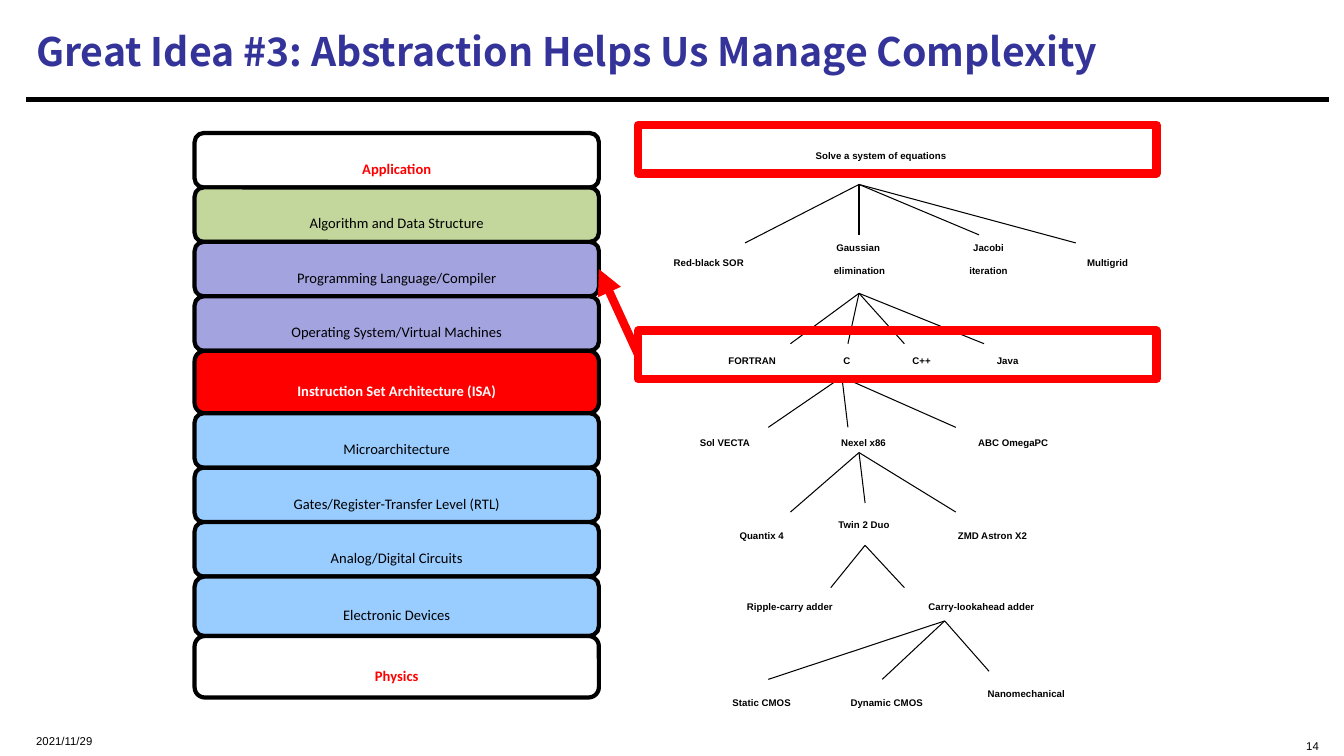
from lxml.etree import SubElement
from pptx import Presentation
from pptx.dml.color import RGBColor as RGB
from pptx.enum.shapes import MSO_CONNECTOR as Conn, MSO_SHAPE as Shape
from pptx.enum.text import MSO_ANCHOR as Anchor, MSO_AUTO_SIZE as Auto, PP_ALIGN as Align
from pptx.oxml.ns import qn
from pptx.util import Inches, Pt

C = {"black": "000000", "white": "FFFFFF", "red": "FF0000", "title": "333399",
     "green": "C3D69B", "purple": "A3A3E0", "blue": "99CCFF"}

# All positions are in cells of a grid with ten columns and rows to the inch.
COLS, ROWS = 133.3, 75
LAYER_LEFT, LAYER_TOP, LAYER_WIDTH = 19.3, 13.2, 40.1
LABEL_ROW = 3

LAYERS = [  # label, fill, text colour, bold, height
    ("Application", "white", "red", True, 5.4),
    ("Algorithm and Data Structure", "green", "black", False, 5.4),
    ("Programming Language/Compiler", "purple", "black", False, 5.4),
    ("Operating System/Virtual Machines", "purple", "black", False, 5.4),
    ("Instruction Set Architecture (ISA)", "red", "white", True, 6.2),
    ("Microarchitecture", "blue", "black", False, 5.4),
    ("Gates/Register-Transfer Level (RTL)", "blue", "black", False, 5.4),
    ("Analog/Digital Circuits", "blue", "black", False, 5.4),
    ("Electronic Devices", "blue", "black", False, 5.9),
    ("Physics", "white", "red", True, 6.1),
]

LABELS = [  # text, centre column, top row, width
    ("Solve a system of equations", 87.4, 13.3, 24.6),
    ("Gaussian \nelimination", 85.25, 22.4, 10.9),
    ("Jacobi\niteration", 98.05, 22.4, 8.7),
    ("Red-black SOR", 70.3, 23.9, 14.2),
    ("Multigrid", 109.85, 23.9, 9.1),
    ("FORTRAN", 74.6, 33.6, 10.2),
    ("C", 84, 33.6, 3.2),
    ("C++", 91.4, 33.6, 5.2),
    ("Java", 99.95, 33.6, 5.7),
    ("Nexel x86", 85.65, 41.7, 8.7),
    ("Sol VECTA", 71.9, 41.7, 11.4),
    ("ABC OmegaPC", 100.5, 41.7, 13),
    ("Quantix 4", 75.55, 50.9, 10.1),
    ("Twin 2 Duo", 85.7, 49.9, 11),
    ("ZMD Astron X2", 98.45, 50.9, 14.1),
    ("Ripple-carry adder", 78.35, 58, 16.9),
    ("Carry-lookahead adder", 97.35, 58, 20.3),
    ("Static CMOS", 75.55, 67.5, 12.1),
    ("Dynamic CMOS", 87.95, 67.5, 14.5),
    ("Nanomechanical", 101.8, 66.6, 15.4),
]

BRANCHES = [  # fork, ends
    ((85.2, 18.3), [(73.9, 24.1), (85.2, 23.3), (97.1, 23.3), (106.7, 24.1)]),
    ((85.2, 29.1), [(78.4, 34.1), (84.1, 34.1), (89.7, 34.1), (97.6, 34.1)]),
    ((83.5, 37.4), [(76.2, 42.4), (84.1, 42.4), (94.8, 42.4)]),
    ((85.2, 44.9), [(78.4, 50.8), (85.8, 49.9), (94.8, 50.8)]),
    ((85.8, 54.1), [(82.4, 58.3), (89.7, 58.3)]),
    ((93.7, 61.6), [(76.2, 67.4), (87.5, 67.4), (98.1, 66.6)]),
]


def cells(*counts):
    return [Inches(n / 10) for n in counts]


def write(sp, text, size=12, font="Arial", color="black", bold=False, align=Align.CENTER,
          anchor=Anchor.TOP, wrap=False, auto=Auto.NONE, baseline=-25000):
    """Fill sp with one paragraph a line; baseline is a shift in 1/1000 percent."""
    tf = sp.text_frame
    tf.word_wrap, tf.auto_size, tf.vertical_anchor = wrap, auto, anchor
    for i, line in enumerate(text.split("\n")):
        p = tf.add_paragraph() if i else tf.paragraphs[0]
        p.alignment = align
        r = p.add_run()
        r.text = line
        r.font.size, r.font.name, r.font.bold = Pt(size), font, bold
        r.font.color.rgb = RGB.from_string(C[color])
        rPr = r._r.get_or_add_rPr()
        if baseline:
            rPr.set("baseline", str(baseline))
        SubElement(rPr, qn("a:ea")).set("typeface", font)


def add_text(s, text, left, top, width, height, **fmt):
    write(s.shapes.add_textbox(*cells(left, top, width, height)), text, **fmt)


def add_box(s, kind, left, top, width, height, line, weight, fill=None):
    sp = s.shapes.add_shape(kind, *cells(left, top, width, height))
    sp.shadow.inherit = False
    if fill:
        sp.fill.solid()
        sp.fill.fore_color.rgb = RGB.from_string(C[fill])
    else:
        sp.fill.background()
    sp.line.color.rgb = RGB.from_string(C[line])
    sp.line.width = Pt(weight)
    return sp


def add_line(s, start, end, color="black", weight=0.75, arrow=False):
    cx = s.shapes.add_connector(Conn.STRAIGHT, *cells(*start, *end))
    cx.line.color.rgb = RGB.from_string(C[color])
    cx.line.width = Pt(weight)
    if arrow:
        SubElement(cx.line._get_or_add_ln(), qn("a:tailEnd")).set("type", "triangle")
    SubElement(cx._element.spPr, qn("a:effectLst"))
    return cx


def add_title(s, text):
    sp = s.shapes.title
    sp.left, sp.top, sp.width, sp.height = cells(2.6, 0.8, 128.9, 8.4)
    write(sp, text, size=28, font="Noto Sans CJK SC", color="title", bold=True,
          align=Align.LEFT, anchor=Anchor.MIDDLE, wrap=True, baseline=0)


def add_layers(s):
    """Stack the layers and return their shapes by label."""
    boxes, top = {}, LAYER_TOP
    for label, fill, color, bold, height in LAYERS:
        sp = add_box(s, Shape.ROUNDED_RECTANGLE, LAYER_LEFT, top, LAYER_WIDTH, height,
                     "black", 3, fill)
        write(sp, label, size=18, font="Calibri", color=color, bold=bold, anchor=Anchor.MIDDLE)
        boxes[label] = sp
        top += height
    return boxes


def add_tree(s):
    for text, center, top, width in LABELS:
        height = LABEL_ROW + 2.1 * text.count("\n")
        add_text(s, text, center - width / 2, top, width, height, bold=True,
                 auto=Auto.SHAPE_TO_FIT_TEXT)
    for fork, ends in BRANCHES:
        for end in ends:
            add_line(s, fork, end)


def main():
    prs = Presentation()
    prs.slide_width, prs.slide_height = cells(COLS, ROWS)
    s = prs.slides.add_slide(prs.slide_layouts[5])

    add_line(s, (2.6, 9.9), (131.8, 9.9), weight=3.75)
    add_title(s, "Great Idea #3: Abstraction Helps Us Manage Complexity")
    add_text(s, "2021/11/29", 2.6, 71.5, 33.3, 2.7, size=14, align=Align.LEFT,
             anchor=Anchor.MIDDLE, wrap=True)
    add_text(s, "14", 91.8, 71.5, 40, 2.7, size=14, align=Align.RIGHT, wrap=True)

    add_tree(s)
    problem_frame, language_frame = [
        add_box(s, Shape.RECTANGLE, 63.3, top, 51.4, 4.8, "red", 6) for top in (12.4, 32.8)]
    layers = add_layers(s)
    arrow = add_line(s, (63.3, 35.2), (59.4, 26.7), "red", 6, arrow=True)
    arrow.begin_connect(language_frame, 1)
    arrow.end_connect(layers["Programming Language/Compiler"], 3)

    prs.save("out.pptx")


if __name__ == "__main__":
    main()
